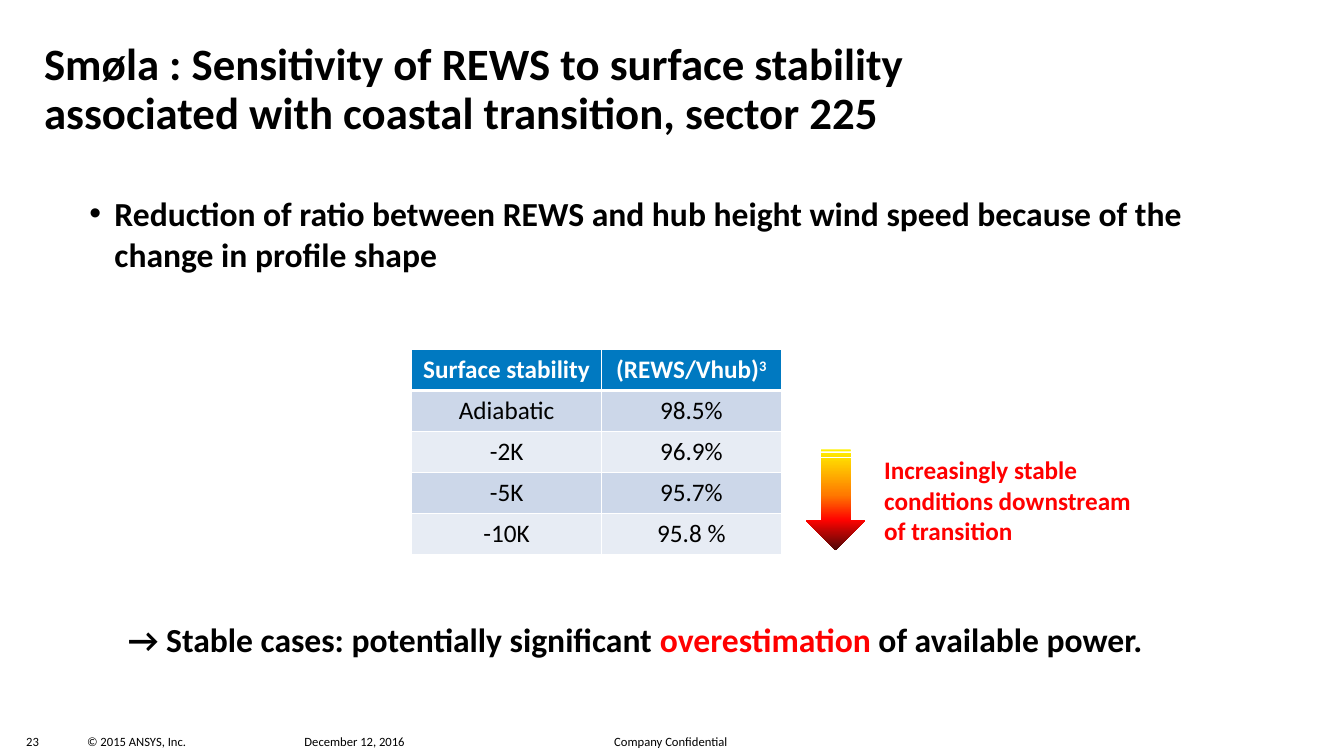
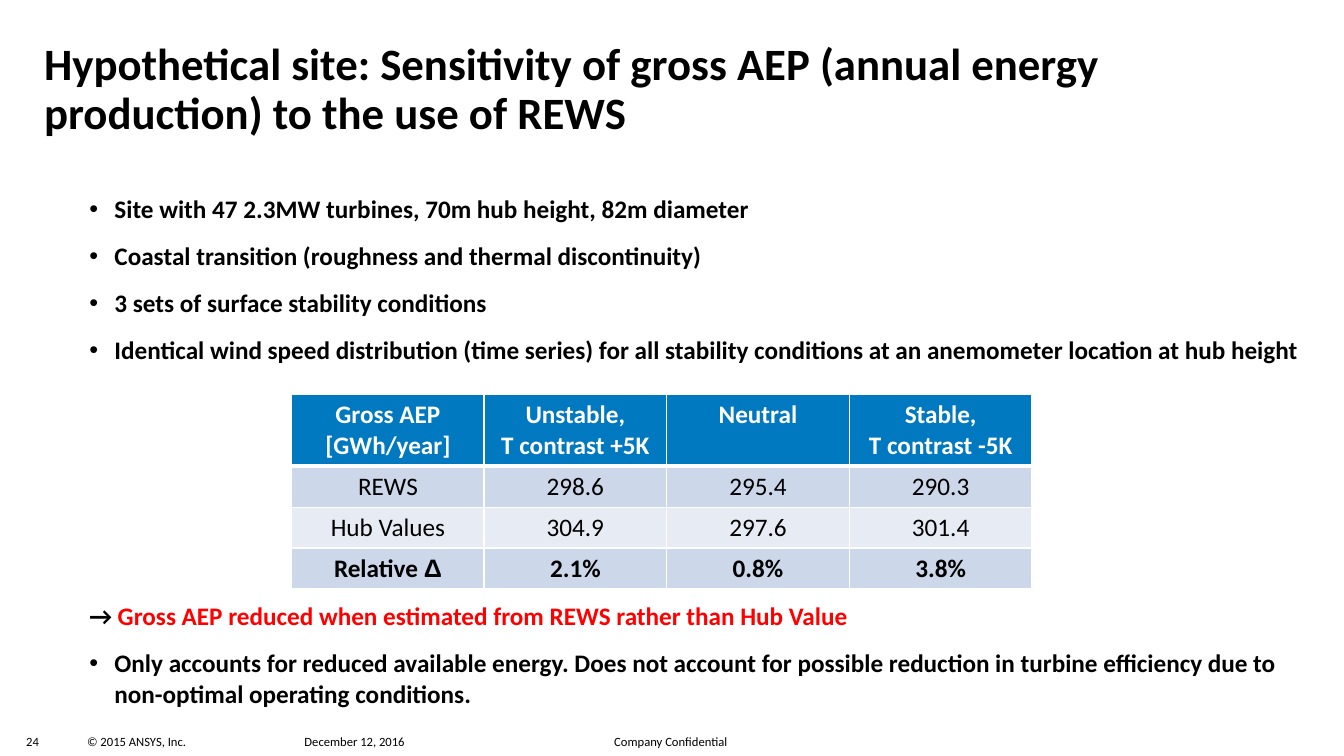
import pptx
import pptx.dml.color
import pptx.enum.shapes
import pptx.enum.text
import pptx.oxml
import pptx.oxml.ns
import pptx.util

RGB = pptx.dml.color.RGBColor
BLACK = RGB(0x00, 0x00, 0x00)
WHITE = RGB(0xFF, 0xFF, 0xFF)
RED = RGB(0xFF, 0x00, 0x00)
HEADER_BLUE = RGB(0x00, 0x79, 0xC1)
BANDS = (RGB(0xCC, 0xD7, 0xE9), RGB(0xE7, 0xEC, 0xF4))
HEAT_STOPS = (
    (0, RGB(0xFF, 0xF2, 0x00)),
    (45, RGB(0xFF, 0x7A, 0x00)),
    (70, RGB(0xFF, 0x03, 0x00)),
    (100, RGB(0x4D, 0x08, 0x08)),
)

PX = 9525
SLIDE_SIZE = (1280, 720)
BULLET_INDENT = 24
ROW_HEIGHT = 39
FOOTER_TOP, FOOTER_HEIGHT = 699, 14

TITLE = {"size": 32, "bold": True}
LEAD = {"size": 24, "bold": True}
POINT = {"size": 18, "bold": True}
CELL = {"size": 18, "bold": False}
HEADER_CELL = {"size": 18, "bold": True, "color": WHITE}
FOOTER = {"size": 9}

# left, width, text
FOOTERS = (
    (83, 207, "© 2015 ANSYS, Inc."),
    (290, 290, "December 12, 2016"),
    (585, 290, "Company Confidential"),
)
PAGE_NUMBER_LEFT, PAGE_NUMBER_WIDTH = 25, 39

# A paragraph is a string, or a list of (text, format) runs.
STABILITY_SLIDE = {
    "number": 23,
    "title": "Smøla : Sensitivity of REWS to surface stability "
             "associated with coastal transition, sector 225",
    "title_width": 997,
    "bullets": ["Reduction of ratio between REWS and hub height wind speed "
                "because of the change in profile shape"],
    "bullet_style": LEAD,
    "bullet_width": 1067,
    "table_at": (392, 333),
    "columns": (181, 171),
    "header_height": ROW_HEIGHT,
    "rows": [
        ["Surface stability", [("(REWS/Vhub)", {}), ("3", {"raised": True})]],
        ["Adiabatic", "98.5%"],
        ["-2K", "96.9%"],
        ["-5K", "95.7%"],
        ["-10K", "95.8 %"],
    ],
}
ARROW_BOX = (748, 448, 96, 56)
ARROW_LABEL = "Increasingly stable conditions downstream of transition"
ARROW_LABEL_BOX = (832, 428, 256, 97)
OVERESTIMATION = [("→ Stable cases: potentially significant ", {}),
                  ("overestimation", {"color": RED}),
                  (" of available power.", {})]
OVERESTIMATION_BOX = (112, 584, 992, 48)

BOLD = {"bold": True}
ENERGY_SLIDE = {
    "number": 24,
    "title": "Hypothetical site: Sensitivity of gross AEP (annual energy "
             "production) to the use of REWS",
    "title_width": 1038,
    "bullets": [
        "Site with 47 2.3MW turbines, 70m hub height, 82m diameter",
        "Coastal transition (roughness and thermal discontinuity)",
        "3 sets of surface stability conditions",
        "Identical wind speed distribution (time series) for all stability "
        "conditions at an anemometer location at hub height",
    ],
    "bullet_style": POINT,
    "bullet_width": 1155,
    "table_at": (278, 376),
    "columns": (183, 174, 174, 174),
    "header_height": 68,
    "rows": [
        ["Gross AEP [GWh/year]", "Unstable,\nT contrast +5K", "Neutral",
         "Stable,\nT contrast -5K"],
        ["REWS", "298.6", "295.4", "290.3"],
        ["Hub Values", "304.9", "297.6", "301.4"],
        [[("Relative ", BOLD), ("Δ", {"bold": True, "name": "Arial"})],
         [("2.1%", BOLD)], [("0.8%", BOLD)], [("3.8%", BOLD)]],
    ],
}
CONCLUSION = [("→ ", {}),
              ("Gross AEP reduced when estimated from REWS rather than Hub Value",
               {"color": RED})]
CAVEAT = ("Only accounts for reduced available energy. Does not account for possible "
          "reduction in turbine efficiency due to non-optimal operating conditions.")
CONCLUSION_BOX = (85, 572, 1155, 112)


def px(*lengths):
    return [pptx.util.Emu(length * PX) for length in lengths]


def sub_element(parent, tag, **attributes):
    child = parent.makeelement(pptx.oxml.ns.qn(tag), attributes)
    parent.append(child)
    return child


def add_runs(paragraph, content, style):
    runs = [(content, {})] if isinstance(content, str) else content
    for text, changes in runs:
        look = {"name": "Calibri", "color": BLACK, **style, **changes}
        run = paragraph.add_run()
        run.text = text
        run.font.color.rgb = look.pop("color")
        run.font.size = pptx.util.Pt(look.pop("size"))
        if look.pop("raised", False):
            run.font._element.set("baseline", "30000")
        for attribute, value in look.items():
            setattr(run.font, attribute, value)


def make_bullet(paragraph):
    properties = paragraph._p.get_or_add_pPr()
    indent = BULLET_INDENT * PX
    properties.set("marL", str(indent))
    properties.set("indent", str(-indent))
    sub_element(properties, "a:buFont", typeface="Arial")
    sub_element(properties, "a:buChar", char="•")


def add_text(slide, box, paragraphs, style, inset=0, bulleted=(), line_spacing=None):
    """Write paragraphs in a box; bulleted holds the indexes that get a bullet."""
    frame = slide.shapes.add_textbox(*px(*box)).text_frame
    frame.word_wrap = True
    horizontal, vertical = px(2 * inset, inset)
    frame.margin_left = frame.margin_right = horizontal
    frame.margin_top = frame.margin_bottom = vertical
    for index, content in enumerate(paragraphs):
        paragraph = frame.add_paragraph() if index else frame.paragraphs[0]
        if index in bulleted:
            make_bullet(paragraph)
        if index:
            paragraph.space_before = pptx.util.Pt(12)
        if line_spacing:
            paragraph.line_spacing = line_spacing
        add_runs(paragraph, content, style)


def draw_borders(cell, top, bottom):
    properties = cell._tc.get_or_add_tcPr()
    sides = (("a:lnL", 1), ("a:lnR", 1), ("a:lnT", top), ("a:lnB", bottom))
    for tag, points in sides:
        line = sub_element(properties, tag, w=str(pptx.util.Pt(points)))
        sub_element(sub_element(line, "a:solidFill"), "a:srgbClr", val=str(WHITE))


def add_data_table(slide, content):
    rows, columns = content["rows"], content["columns"]
    heights = [content["header_height"]] + [ROW_HEIGHT] * (len(rows) - 1)
    table = slide.shapes.add_table(
        len(rows), len(columns),
        *px(*content["table_at"], sum(columns), sum(heights))).table
    for column, width in zip(table.columns, px(*columns)):
        column.width = width
    for r, (values, height) in enumerate(zip(rows, px(*heights))):
        table.rows[r].height = height
        for c, value in enumerate(values):
            cell = table.cell(r, c)
            draw_borders(cell, top=3 if r == 1 else 1, bottom=1 if r else 3)
            cell.fill.solid()
            cell.fill.fore_color.rgb = BANDS[(r - 1) % 2] if r else HEADER_BLUE
            lines = value.split("\n") if isinstance(value, str) else [value]
            for index, line in enumerate(lines):
                frame = cell.text_frame
                paragraph = frame.add_paragraph() if index else frame.paragraphs[0]
                paragraph.alignment = pptx.enum.text.PP_ALIGN.CENTER
                add_runs(paragraph, line, CELL if r else HEADER_CELL)


def add_heat_arrow(slide):
    arrow = slide.shapes.add_shape(
        pptx.enum.shapes.MSO_SHAPE.STRIPED_RIGHT_ARROW, *px(*ARROW_BOX))
    arrow.rotation = 90
    arrow.shadow.inherit = False
    arrow.line.fill.background()
    arrow.fill.gradient()
    arrow.fill.gradient_angle = 0
    stops = arrow._element.spPr.find(".//" + pptx.oxml.ns.qn("a:gsLst"))
    for stop in list(stops):
        stops.remove(stop)
    for percent, color in HEAT_STOPS:
        stop = sub_element(stops, "a:gs", pos=str(percent * 1000))
        sub_element(stop, "a:srgbClr", val=str(color))


def add_content_slide(deck, content):
    """Add a slide with its footer, title, bullets and table."""
    slide = deck.slides.add_slide(deck.slide_layouts[6])
    page_number = (PAGE_NUMBER_LEFT, PAGE_NUMBER_WIDTH, str(content["number"]))
    for left, width, text in (page_number, *FOOTERS):
        add_text(slide, (left, FOOTER_TOP, width, FOOTER_HEIGHT), [text], FOOTER)
    add_text(slide, (42, 40, content["title_width"], 92), [content["title"]],
             TITLE, line_spacing=0.9)
    bullets = content["bullets"]
    add_text(slide, (85, 184, content["bullet_width"], 180), bullets,
             content["bullet_style"], bulleted=range(len(bullets)))
    add_data_table(slide, content)
    return slide


def main():
    deck = pptx.Presentation()
    deck.slide_width, deck.slide_height = px(*SLIDE_SIZE)

    stability = add_content_slide(deck, STABILITY_SLIDE)
    add_heat_arrow(stability)
    add_text(stability, ARROW_LABEL_BOX, [ARROW_LABEL], {**POINT, "color": RED}, inset=5)
    add_text(stability, OVERESTIMATION_BOX, [OVERESTIMATION], LEAD, inset=5)

    energy = add_content_slide(deck, ENERGY_SLIDE)
    add_text(energy, CONCLUSION_BOX, [CONCLUSION, CAVEAT], POINT, bulleted=(1,))

    deck.save("out.pptx")


if __name__ == "__main__":
    main()
